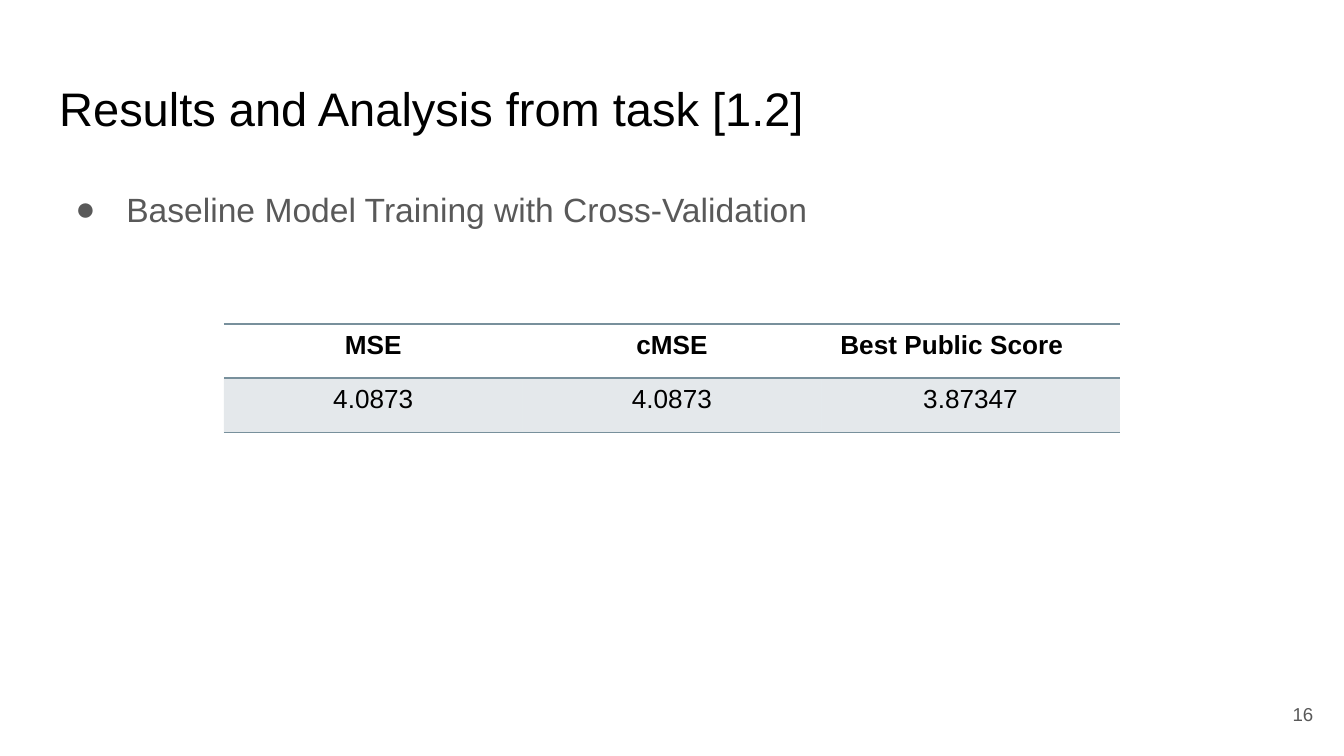
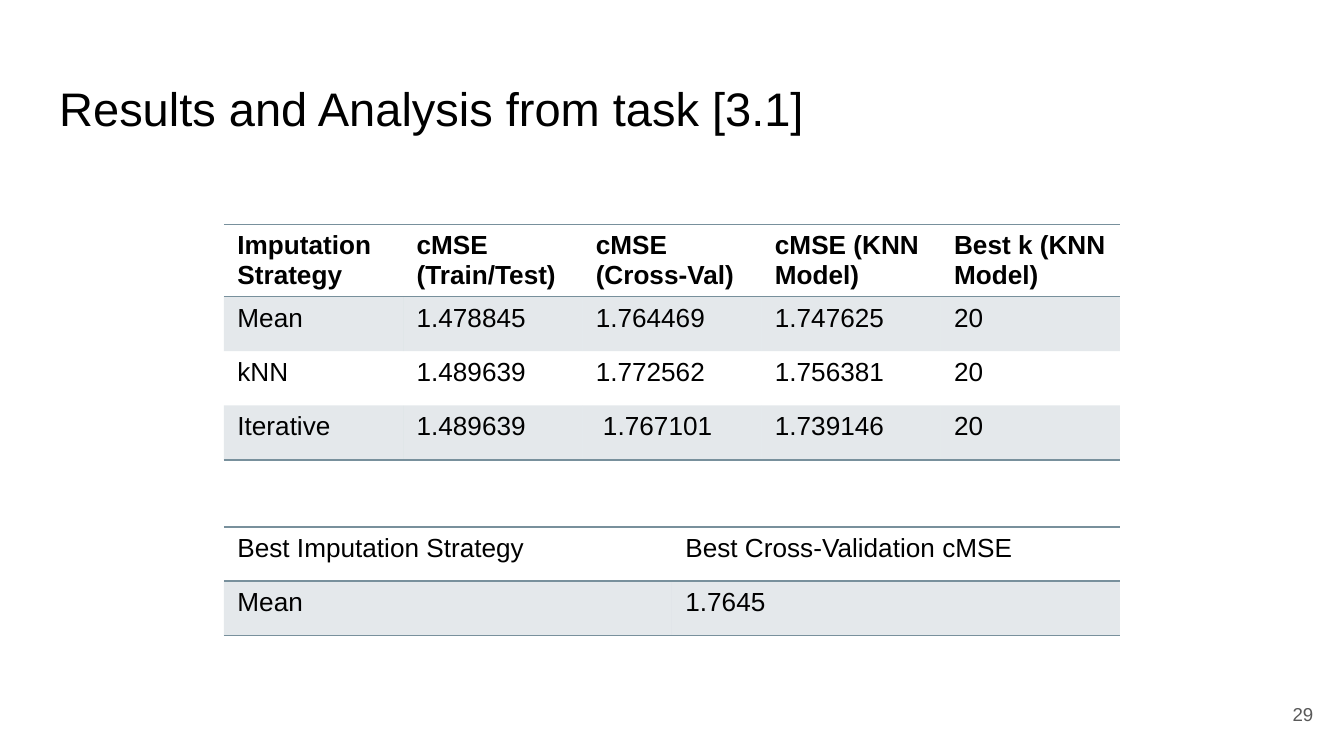
from lxml.etree import SubElement
from pptx import Presentation
from pptx.dml.color import RGBColor
from pptx.enum.text import MSO_ANCHOR, MSO_AUTO_SIZE, PP_ALIGN
from pptx.oxml import parse_xml
from pptx.oxml.ns import nsdecls, qn
from pptx.util import Inches, Pt

BLACK = RGBColor(0x00, 0x00, 0x00)
GREY = RGBColor(0x59, 0x59, 0x59)
SLATE = RGBColor(0x78, 0x90, 0x9C)
FONT = "Arial"
PLAIN_TABLE_STYLE = "{2D5ABB26-0587-4C30-8999-92F81FD0307C}"

# Shared geometry, in inches, on a 16:9 slide
WIDTH = 10
HEIGHT = WIDTH * 9 / 16
LEFT, CONTENT_WIDTH = 0.34, 9.32
TABLE_WIDTH = WIDTH * 2 / 3
TABLE_LEFT = (WIDTH - TABLE_WIDTH) / 2
ROW_HEIGHT = 0.81 / 2
CELL_MARGIN = 0.1

PAGES = [
    {
        "title": "Results and Analysis from task [1.2]",
        "number": "16",
        "bullet": "Baseline Model Training with Cross-Validation",
        "tables": [
            {
                "top": 2.41, "align": PP_ALIGN.CENTER, "bold_header": True,
                "rows": [["MSE", "cMSE", "Best Public Score"],
                         ["4.0873", "4.0873", "3.87347"]],
                "last_header_indent": 0.28,
            },
        ],
    },
    {
        "title": "Results and Analysis from task [3.1]",
        "number": "29",
        "bullet": None,
        "tables": [
            {
                "top": 1.67, "align": PP_ALIGN.LEFT, "bold_header": True,
                "rows": [["Imputation Strategy", "cMSE (Train/Test)", "cMSE (Cross-Val)",
                          "cMSE (KNN Model)", "Best k (KNN Model)"],
                         ["Mean", "1.478845", "1.764469", "1.747625", "20"],
                         ["kNN", "1.489639", "1.772562", "1.756381", "20"],
                         ["Iterative", "1.489639", " 1.767101", "1.739146", "20"]],
            },
            {
                "top": 3.92, "align": PP_ALIGN.LEFT, "bold_header": False,
                "rows": [["Best Imputation Strategy", "Best Cross-Validation cMSE"],
                         ["Mean", "1.7645"]],
            },
        ],
    },
]


def write_text(frame, text, size=14, color=BLACK, bold=False, align=PP_ALIGN.LEFT,
               anchor=MSO_ANCHOR.TOP, margin=None):
    """Fill a text frame with one formatted paragraph and return the paragraph."""
    frame.word_wrap = True
    if margin is not None:
        frame.auto_size = MSO_AUTO_SIZE.NONE
        frame.vertical_anchor = anchor
        frame.margin_left = frame.margin_right = Inches(margin)
        frame.margin_top = frame.margin_bottom = Inches(margin)
    para = frame.paragraphs[0]
    para.alignment = align
    para.space_before = Pt(0)
    span = para.add_run()
    span.text = text
    span.font.name, span.font.size, span.font.bold = FONT, Pt(size), bold
    span.font.color.rgb = color
    return para


def add_results(page, top, rows, align, bold_header, last_header_indent=0):
    """Add a ruled table whose odd rows are tinted."""
    columns = len(rows[0])
    frame = page.shapes.add_table(len(rows), columns, Inches(TABLE_LEFT), Inches(top),
                                  Inches(TABLE_WIDTH), Inches(ROW_HEIGHT * len(rows)))
    table = frame.table
    table.first_row = table.horz_banding = False
    table._tbl.tblPr.find(qn("a:tableStyleId")).text = PLAIN_TABLE_STYLE

    for row, values in enumerate(rows):
        for column, value in enumerate(values):
            cell = table.cell(row, column)
            write_text(cell.text_frame, value, bold=bold_header and row == 0, align=align)

            # Tint
            if row % 2:
                cell.fill.solid()
                cell.fill.fore_color.rgb = SLATE
                tint = cell._tc.tcPr.find(".//" + qn("a:srgbClr"))
                SubElement(tint, qn("a:alpha"), val="20000")
            else:
                cell.fill.background()

            # Rules around the header and below the last row
            sides = ["lnT"] if row == 0 else []
            if row in (0, len(rows) - 1):
                sides.append("lnB")
            for position, side in enumerate(sides):
                cell._tc.tcPr.insert(position, parse_xml(
                    f'<a:{side} {nsdecls("a")} w="{Pt(1)}"><a:solidFill>'
                    f'<a:srgbClr val="{SLATE}"/></a:solidFill></a:{side}>'))

    table.cell(0, columns - 1).margin_right = Inches(CELL_MARGIN + last_header_indent)


deck = Presentation()
deck.slide_width, deck.slide_height = Inches(WIDTH), Inches(HEIGHT)
title_and_body, title_only = deck.slide_layouts[1], deck.slide_layouts[5]

for content in PAGES:
    page = deck.slides.add_slide(title_and_body if content["bullet"] else title_only)

    # Title
    title = page.shapes.title
    title.left, title.top = Inches(LEFT), Inches(0.49)
    title.width, title.height = Inches(CONTENT_WIDTH), Inches(0.63)
    write_text(title.text_frame, content["title"], size=25.2, margin=0.1)

    # Bulleted body
    if content["bullet"]:
        body = page.placeholders[1]
        body.left, body.top = Inches(LEFT), Inches(1.26)
        body.width, body.height = Inches(CONTENT_WIDTH), Inches(3.74)
        para = write_text(body.text_frame, content["bullet"], size=18, color=GREY, margin=0.1)
        para.line_spacing = 1.15
        properties = para._p.get_or_add_pPr()
        properties.set("marL", str(Inches(0.5)))
        properties.set("indent", str(Inches(-0.38)))
        bullet_color = SubElement(properties, qn("a:buClr"))
        SubElement(bullet_color, qn("a:srgbClr"), val=str(GREY))
        SubElement(properties, qn("a:buFont"), typeface=FONT)
        SubElement(properties, qn("a:buChar"), char="●")

    # Page number
    box = page.shapes.add_textbox(Inches(9.27), Inches(5.1), Inches(0.6), Inches(0.43))
    write_text(box.text_frame, content["number"], size=10, color=GREY,
               align=PP_ALIGN.RIGHT, anchor=MSO_ANCHOR.MIDDLE, margin=0.1)

    # Result tables
    for results in content["tables"]:
        add_results(page, **results)

deck.save("out.pptx")
